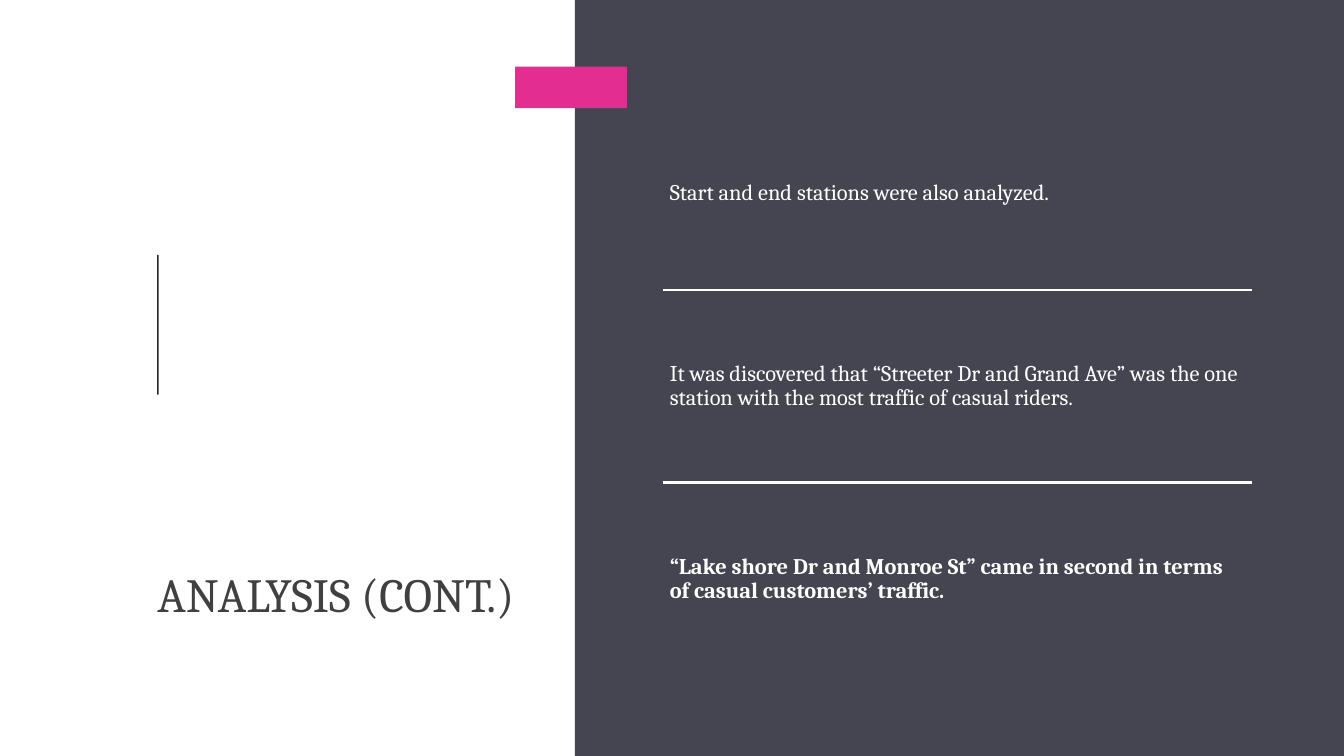
"""Build the station analysis slide with a split background and three findings."""
from lxml import etree
from pptx import Presentation
from pptx.dml.color import RGBColor
from pptx.enum.shapes import MSO_CONNECTOR, MSO_SHAPE
from pptx.enum.text import MSO_ANCHOR
from pptx.oxml.ns import qn
from pptx.util import Pt

RECTANGLE = MSO_SHAPE.RECTANGLE
STRAIGHT = MSO_CONNECTOR.STRAIGHT
BOTTOM, MIDDLE = MSO_ANCHOR.BOTTOM, MSO_ANCHOR.MIDDLE


def color(value):
    return RGBColor.from_string(value)


def add_text(page, frame, text, size, ink, anchor, inset, bold=False, spacing=1.0):
    box = page.shapes.add_textbox(*[Pt(length) for length in frame])
    body = box.text_frame
    body.word_wrap = True
    body.vertical_anchor = anchor
    body.margin_left = body.margin_right = Pt(inset)
    body.margin_top = body.margin_bottom = Pt(inset)
    para = body.paragraphs[0]
    para.line_spacing = spacing
    span = para.add_run()
    span.text = text
    span.font.name = "Cambria"
    span.font.size = Pt(size)
    span.font.bold = bold
    span.font.color.rgb = color(ink)


deck = Presentation()
deck.slide_width, deck.slide_height = Pt(960), Pt(540)
page = deck.slides.add_slide(deck.slide_layouts[6])

blocks = [
    (410.7, 0, 549.3, 540, "454551"),
    (112.3, 182, 1, 100, "24282B"),
    (367.9, 47.6, 80, 29.7, "E32D91"),
]
for left, top, width, height, fill in blocks:
    block = page.shapes.add_shape(RECTANGLE, Pt(left), Pt(top), Pt(width), Pt(height))
    block.shadow.inherit = False
    block.fill.solid()
    block.fill.fore_color.rgb = color(fill)
    block.line.fill.background()

add_text(page, (112.5, 317.5, 288, 126.7), "ANALYSIS (CONT.)", 34, "404040", BOTTOM, 0)

findings = [
    ("Start and end stations were also analyzed.", False),
    ("It was discovered that “Streeter Dr and Grand Ave” was the one station "
     "with the most traffic of casual riders.", False),
    ("“Lake shore Dr and Monroe St” came in second in terms of casual "
     "customers’ traffic.", True),
]
left, first_top, width, row_height = 473.5, 69.3, 420.8, 137.7
for index, (finding, bold) in enumerate(findings):
    top = first_top + index * row_height
    if index:
        divider = page.shapes.add_connector(STRAIGHT, Pt(left), Pt(top), Pt(left + width), Pt(top))
        divider.line.color.rgb = color("FFFFFF")
        divider.line.width = Pt(1.75)
        etree.SubElement(divider._element.spPr, qn("a:effectLst"))
    add_text(page, (left, top, width, row_height), finding, 16, "FFFFFF", MIDDLE, 5, bold, 0.9)

deck.save("out.pptx")
